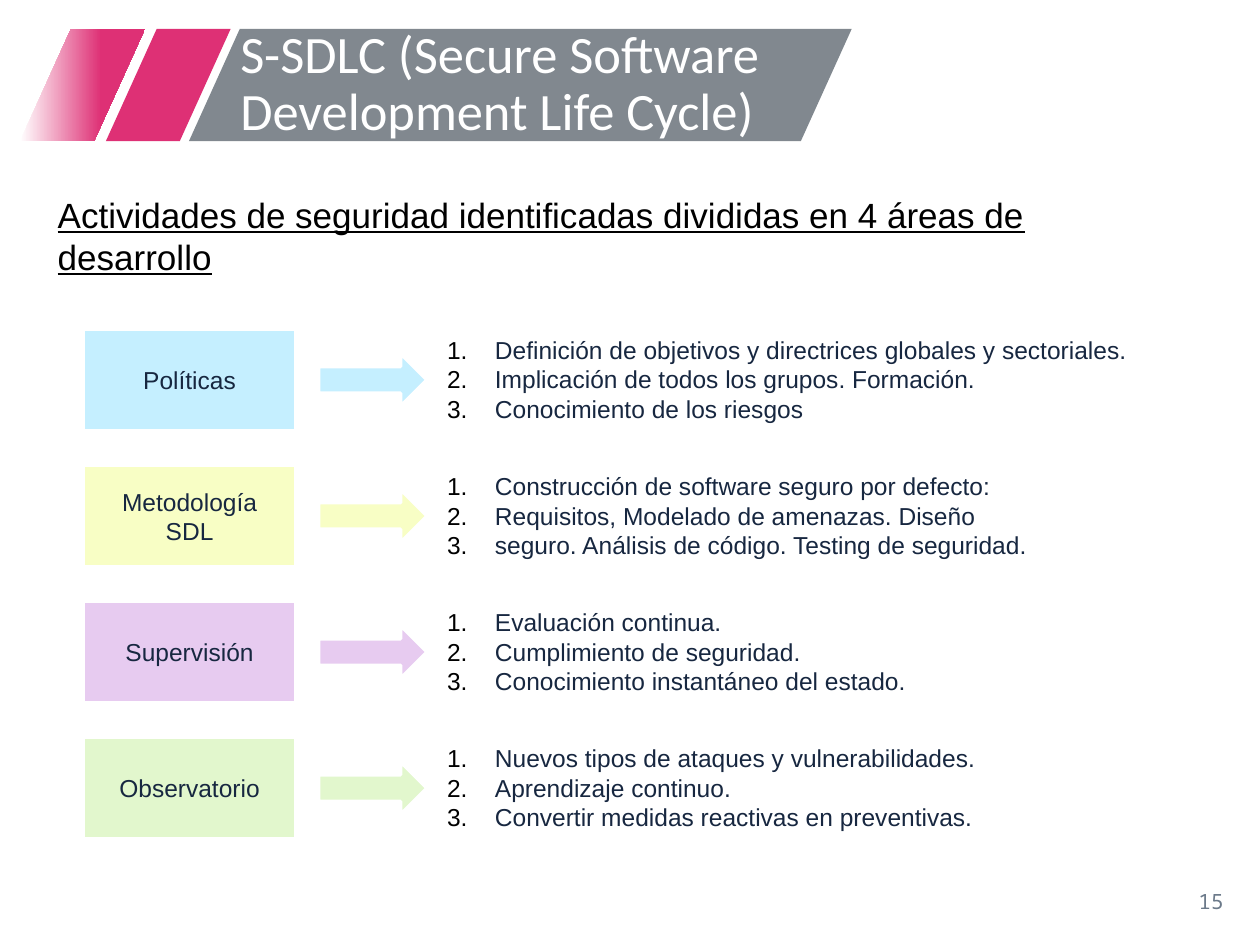
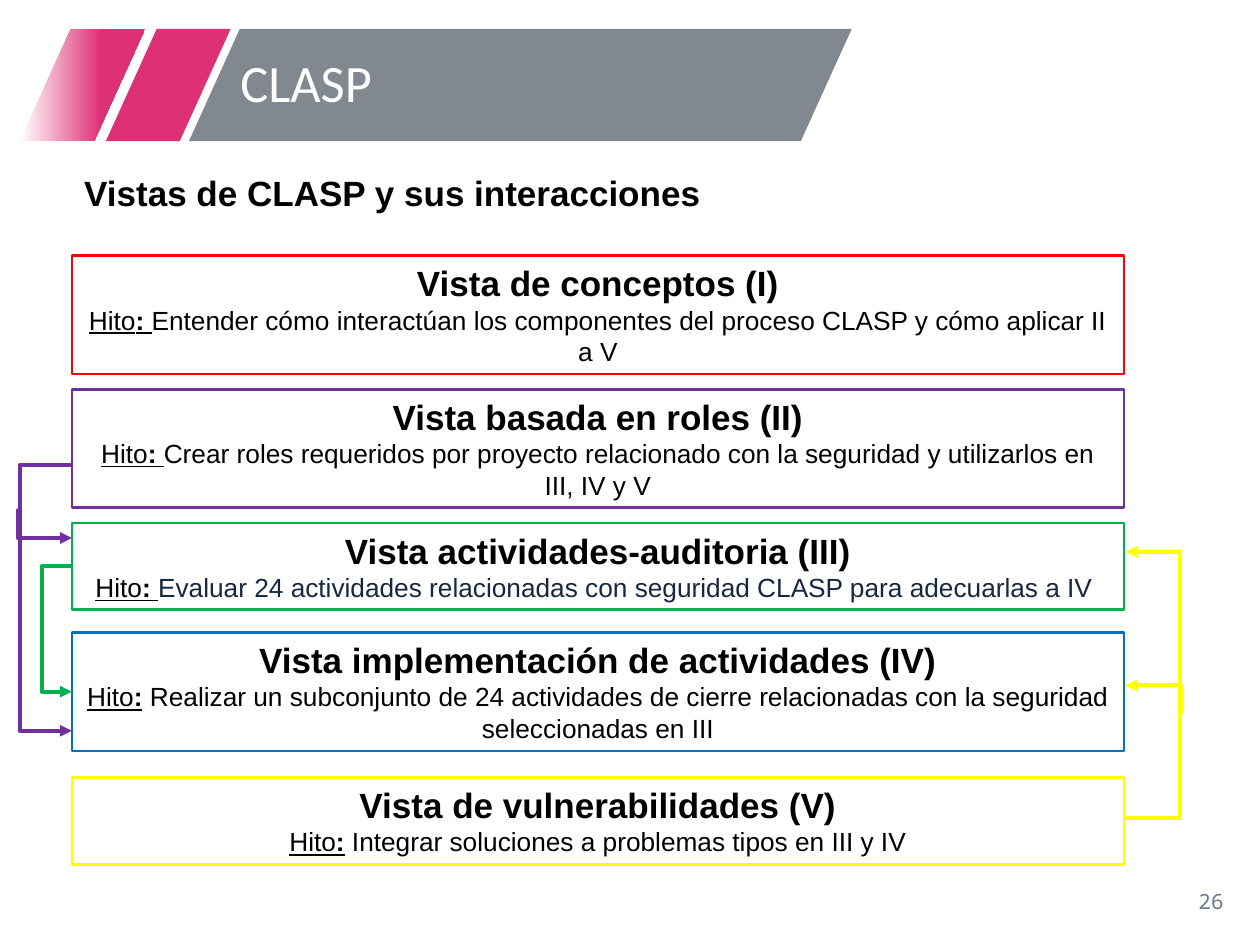
from typing import NamedTuple

from lxml import etree
from pptx import Presentation
from pptx.dml.color import RGBColor
from pptx.enum.shapes import MSO_CONNECTOR, MSO_SHAPE
from pptx.enum.text import MSO_ANCHOR, PP_ALIGN
from pptx.oxml.ns import qn
from pptx.util import Inches, Pt

RECT, SLANT, ARROW = MSO_SHAPE.RECTANGLE, MSO_SHAPE.PARALLELOGRAM, MSO_SHAPE.RIGHT_ARROW
LEFT, CENTER, RIGHT = PP_ALIGN.LEFT, PP_ALIGN.CENTER, PP_ALIGN.RIGHT
TOP, MIDDLE = MSO_ANCHOR.TOP, MSO_ANCHOR.MIDDLE

# Grid: 100 columns by 75 rows
SLIDE_W, SLIDE_H = Inches(10), Inches(7.5)
COL, ROW = SLIDE_W / 100, SLIDE_H / 75

BLACK, WHITE, NAVY = "000000", "FFFFFF", "172740"
PINK, GREY, SLATE = "DE3075", "81888F", "6C7A8A"
PURPLE, GREEN, YELLOW = "7030A0", "00B050", "FFFF00"


class Box(NamedTuple):
    col: float
    row: float
    cols: float
    rows: float

    def emu(self) -> tuple:
        return (round(self.col * COL), round(self.row * ROW),
                round(self.cols * COL), round(self.rows * ROW))


class Area(NamedTuple):
    name: str
    color: str
    activities: tuple


class View(NamedTuple):
    name: str
    color: str
    row: float
    rows: float
    colon: str
    milestone: str
    text_color: str = BLACK


class Link(NamedTuple):
    start: tuple
    end: tuple
    lane: float  # column of the vertical stretch
    color: str


AREAS = (
    Area("Políticas", "C5EFFF", (
        "Definición de objetivos y directrices globales y sectoriales.",
        "Implicación de todos los grupos. Formación.",
        "Conocimiento de los riesgos")),
    Area("Metodología SDL", "F8FEC5", (
        "Construcción de software seguro por defecto:",
        "Requisitos, Modelado de amenazas. Diseño",
        "seguro. Análisis de código. Testing de seguridad.")),
    Area("Supervisión", "E7CBF0", (
        "Evaluación continua.",
        "Cumplimiento de seguridad.",
        "Conocimiento instantáneo del estado.")),
    Area("Observatorio", "E2F7CD", (
        "Nuevos tipos de ataques y vulnerabilidades.",
        "Aprendizaje continuo.",
        "Convertir medidas reactivas en preventivas.")),
)

VIEWS = (
    View("Vista de conceptos (I)", "FF0000", 20.3, 9.4, ": ",
         "Entender cómo interactúan los componentes del proceso CLASP y cómo aplicar II a V"),
    View("Vista basada en roles (II)", PURPLE, 30.9, 9.4, ": ",
         "Crear roles requeridos por proyecto relacionado con la seguridad "
         "y utilizarlos en III, IV y V"),
    View("Vista actividades-auditoria (III)", GREEN, 41.5, 6.9, ": ",
         "Evaluar 24 actividades relacionadas con seguridad CLASP para adecuarlas a IV ", NAVY),
    View("Vista implementación de actividades (IV)", "0070C0", 50.2, 9.4, ":",
         " Realizar un subconjunto de 24 actividades de cierre relacionadas "
         "con la seguridad seleccionadas en III"),
    View("Vista de vulnerabilidades (V)", YELLOW, 61.7, 6.9, ":",
         " Integrar soluciones a problemas tipos en III y IV"),
)

LINKS = (
    Link((5.8, 36.9), (5.7, 58), 1.5, PURPLE),
    Link((1.4, 40.4), (5.7, 42.7), 1.41, PURPLE),
    Link((5.8, 44.9), (5.7, 54.9), 3.3, GREEN),
    Link((89.2, 64.9), (89.35, 43.8), 93.7, YELLOW),
    Link((93.75, 56.7), (89.3, 54.4), 93.74, YELLOW),
)


def rgb(color: str) -> RGBColor:
    return RGBColor.from_string(color)


def add_run(p, text: str, size: float = 14, color: str = NAVY, font: str = "Arial",
            bold: bool = False, underline: bool = False) -> None:
    r = p.add_run()
    r.text = text
    r.font.size, r.font.name = Pt(size), font
    r.font.bold, r.font.underline = bold, underline
    r.font.color.rgb = rgb(color)


def setup_text(shape, anchor=TOP, align=LEFT):
    """Prepare a text frame and return its first paragraph."""
    tf = shape.text_frame
    tf.word_wrap = True
    tf.vertical_anchor = anchor
    p = tf.paragraphs[0]
    p.alignment = align
    return p


def add_text(s, box: Box, text: str, anchor=TOP, align=LEFT, **fmt):
    p = setup_text(s.shapes.add_textbox(*box.emu()), anchor, align)
    add_run(p, text, **fmt)
    return p


def add_box(s, kind, box: Box, fill: str = "", line: str = "", width: float = 1.5):
    sp = s.shapes.add_shape(kind, *box.emu())
    sp.shadow.inherit = False
    if fill:
        sp.fill.solid()
        sp.fill.fore_color.rgb = rgb(fill)
    else:
        sp.fill.background()
    if line:
        sp.line.color.rgb = rgb(line)
        sp.line.width = Pt(width)
    else:
        sp.line.fill.background()
    return sp


def fade_in(sp) -> None:
    """Fill a shape with white turning pink from left to right."""
    sp.fill.gradient()
    sp.fill.gradient_angle = 0
    first, last = sp.fill.gradient_stops
    first.color.rgb, first.position = rgb(WHITE), 0
    last.color.rgb, last.position = rgb(PINK), 0.65


def add_numbering(p) -> None:
    pPr = p._p.get_or_add_pPr()
    pPr.set("marL", str(Inches(0.38)))
    pPr.set("indent", str(-Inches(0.38)))
    clr = etree.SubElement(pPr, qn("a:buClr"))
    etree.SubElement(clr, qn("a:srgbClr"), val=BLACK)
    etree.SubElement(pPr, qn("a:buAutoNum"), type="arabicPeriod")


def add_link(s, link: Link) -> None:
    (x0, y0), (x1, y1) = link.start, link.end
    cn = s.shapes.add_connector(MSO_CONNECTOR.ELBOW, round(x0 * COL), round(y0 * ROW),
                                round(x1 * COL), round(y1 * ROW))
    cn.line.color.rgb = rgb(link.color)
    cn.line.width = Pt(2.25)
    spPr = cn._element.spPr
    bend = round((link.lane - x0) / (x1 - x0) * 100000)
    guides = spPr.find(qn("a:prstGeom")).get_or_add_avLst()
    etree.SubElement(guides, qn("a:gd"), name="adj1", fmla=f"val {bend}")
    etree.SubElement(spPr.find(qn("a:ln")), qn("a:tailEnd"), type="triangle")
    etree.SubElement(spPr, qn("a:effectLst"))


def add_base_slide(prs, title: str, number: int):
    """Slide with the slanted title band and the page number."""
    s = prs.slides.add_slide(prs.slide_layouts[6])
    bands = [add_box(s, SLANT, Box(col, 2.3, cols, 8.9), fill)
             for col, cols, fill in ((8.4, 9.9, PINK), (1.6, 9.9, PINK), (15, 52.6, GREY))]
    for band in bands:
        band.adjustments[0] = 0.453
    fade_in(bands[1])
    add_text(s, Box(75.6, 69.5, 22.5, 4), str(number), MIDDLE, RIGHT,
             size=12, font="Noto Sans Mono", color=SLATE)
    p = add_text(s, Box(18.1, 2.3, 52.3, 8.9), title, MIDDLE,
                 size=30, font="Calibri", color=WHITE)
    p.line_spacing = 0.9
    return s


def add_area(s, area: Area, row: float) -> None:
    sp = add_box(s, RECT, Box(6.6, row, 16.9, 8.1), area.color, WHITE, 2)
    add_run(setup_text(sp, MIDDLE, CENTER), area.name)
    add_box(s, ARROW, Box(25.3, row + 1.95, 8.6, 4.2), area.color, WHITE, 2)
    tb = s.shapes.add_textbox(*Box(34.5, row, 57.3, 8.1).emu())
    p = setup_text(tb)
    for i, activity in enumerate(area.activities):
        if i:
            p = tb.text_frame.add_paragraph()
        add_numbering(p)
        add_run(p, activity)


def add_view(s, view: View) -> None:
    sp = add_box(s, RECT, Box(5.7, view.row, 83.5, view.rows), line=view.color)
    add_run(setup_text(sp, TOP, CENTER), view.name, size=20, color=BLACK, bold=True)
    p = sp.text_frame.add_paragraph()
    p.alignment = CENTER
    add_run(p, "Hito", size=15, color=BLACK, underline=True)
    add_run(p, view.colon, size=15, color=BLACK, bold=True, underline=True)
    add_run(p, view.milestone, size=15, color=view.text_color)


def main() -> None:
    prs = Presentation()
    prs.slide_width, prs.slide_height = SLIDE_W, SLIDE_H

    # Four development areas
    s = add_base_slide(prs, "S-SDLC (Secure Software Development Life Cycle)", 15)
    add_text(s, Box(3.6, 14.85, 90.7, 7.8),
             "Actividades de seguridad identificadas divididas en 4 áreas de desarrollo",
             size=20, color=BLACK, underline=True)
    for i, area in enumerate(AREAS):
        add_area(s, area, 26.1 + 10.8 * i)

    # CLASP views and their interactions
    s = add_base_slide(prs, "CLASP", 26)
    add_text(s, Box(5.7, 13.1, 55, 4.4), "Vistas de CLASP y sus interacciones",
             size=20, color=BLACK, bold=True)
    for view in VIEWS:
        add_view(s, view)
    for link in LINKS:
        add_link(s, link)

    prs.save("out.pptx")


if __name__ == "__main__":
    main()
